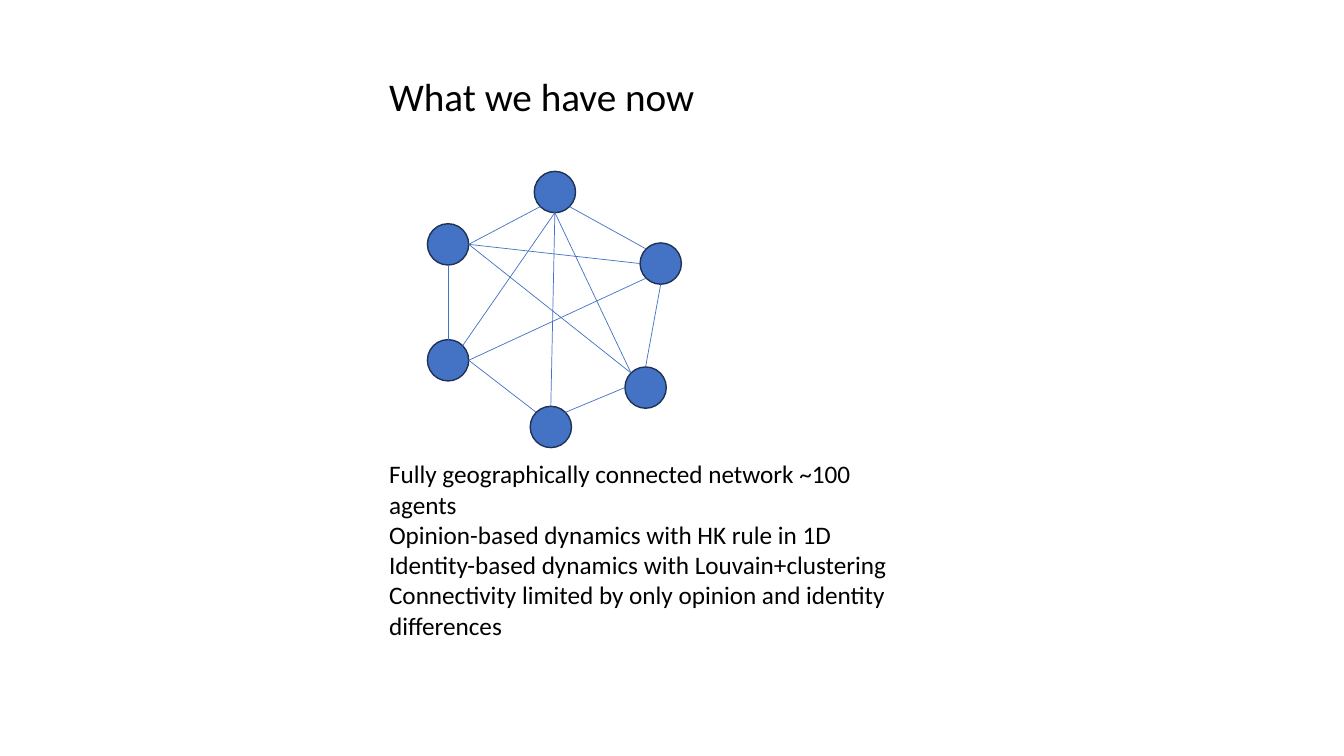
from math import cos, radians, sin

from pptx import Presentation
from pptx import util as u
from pptx.dml.color import RGBColor
from pptx.enum import shapes, text

TITLE = "What we have now"
POINTS = [
    "Fully geographically connected network ~100 agents",
    "Opinion-based dynamics with HK rule in 1D",
    "Identity-based dynamics with Louvain+clustering",
    "Connectivity limited by only opinion and identity differences",
]
TITLE_BOX = (270.7, 48.2, 331.9, 41)
BODY_BOX = (270.7, 324, 377.3, 138.2)

DIAMETER = 29.5
AGENTS = {  # left, top
    "upper left": (305.3, 159.8),
    "lower left": (305.3, 242.6),
    "lower right": (446.4, 262.1),
    "bottom": (378.7, 290.2),
    "top": (381.6, 122.4),
    "upper right": (457.2, 173.5),
}
# compass points on a circle, in degrees clockwise from east
ANGLES = {"E": 0, "SE": 45, "S": 90, "SW": 135, "W": 180, "NW": 225, "N": 270, "NE": 315}
LINKS = [
    ("upper left", "E", "upper right", "W"),
    ("top", "S", "lower right", "NW"),
    ("lower left", "E", "upper right", "SW"),
    ("upper right", "S", "lower right", "N"),
    ("upper left", "E", "lower right", "NW"),
    ("upper left", "E", "top", "SW"),
    ("top", "SE", "upper right", "NW"),
    ("top", "S", "bottom", "N"),
    ("top", "S", "lower left", "NE"),
    ("lower left", "E", "bottom", "NW"),
    ("bottom", "NE", "lower right", "W"),
    ("upper left", "S", "lower left", "N"),
]
BLUE, NAVY, BLACK = "4472C4", "1E3256", "000000"
FRAME = {"word_wrap": True, "auto_size": text.MSO_AUTO_SIZE.NONE,
         "vertical_anchor": text.MSO_ANCHOR.TOP}
PARAGRAPH = {"alignment": text.PP_ALIGN.LEFT, "space_before": u.Pt(0),
             "space_after": u.Pt(0), "line_spacing": 1.0}


def color(value):
    return RGBColor.from_string(value)


def apply(target, values):
    for name, value in values.items():
        setattr(target, name, value)


def fill_placeholder(box, place, lines, size):
    """Move a placeholder and give it plain, unbulleted lines."""
    apply(box, dict(zip(("left", "top", "width", "height"), map(u.Pt, place))))
    apply(box.text_frame, FRAME)
    box.text_frame.text = "\n".join(lines)
    for para in box.text_frame.paragraphs:
        apply(para, PARAGRAPH)
        apply(para.font, {"name": "Calibri", "size": u.Pt(size)})
        para.font.color.rgb = color(BLACK)
        props = para._p.get_or_add_pPr()
        props.set("marL", "0")
        props.set("indent", "0")
        bullet = props.makeelement(
            "{http://schemas.openxmlformats.org/drawingml/2006/main}buNone", {})
        props.insert_element_before(bullet, "a:tabLst", "a:defRPr", "a:extLst")


def rim(agent, compass):
    """Point on an agent's edge in the given direction."""
    left, top = AGENTS[agent]
    angle, radius = radians(ANGLES[compass]), DIAMETER / 2
    return (u.Pt(left + radius * (1 + cos(angle))),
            u.Pt(top + radius * (1 + sin(angle))))


def add_agent(page, left, top):
    circle = page.shapes.add_shape(
        shapes.MSO_SHAPE.OVAL, *map(u.Pt, (left, top, DIAMETER, DIAMETER)))
    circle.shadow.inherit = False
    circle.fill.solid()
    circle.fill.fore_color.rgb = color(BLUE)
    circle.line.color.rgb = color(NAVY)
    circle.line.width = u.Pt(1)


def add_link(page, start, start_side, end, end_side):
    link = page.shapes.add_connector(
        shapes.MSO_CONNECTOR.STRAIGHT, *rim(start, start_side), *rim(end, end_side))
    link.line.color.rgb = color(BLUE)
    link.line.width = u.Pt(0.5)
    props = link._element.spPr
    props.append(props.makeelement(
        "{http://schemas.openxmlformats.org/drawingml/2006/main}effectLst", {}))


def main():
    deck = Presentation()
    deck.slide_width, deck.slide_height = u.Pt(960), u.Pt(540)
    page = deck.slides.add_slide(deck.slide_layouts[1])
    fill_placeholder(page.shapes.title, TITLE_BOX, [TITLE], 28)
    fill_placeholder(page.placeholders[1], BODY_BOX, POINTS, 18)
    for place in AGENTS.values():
        add_agent(page, *place)
    for link in LINKS:
        add_link(page, *link)
    deck.save("out.pptx")


if __name__ == "__main__":
    main()
